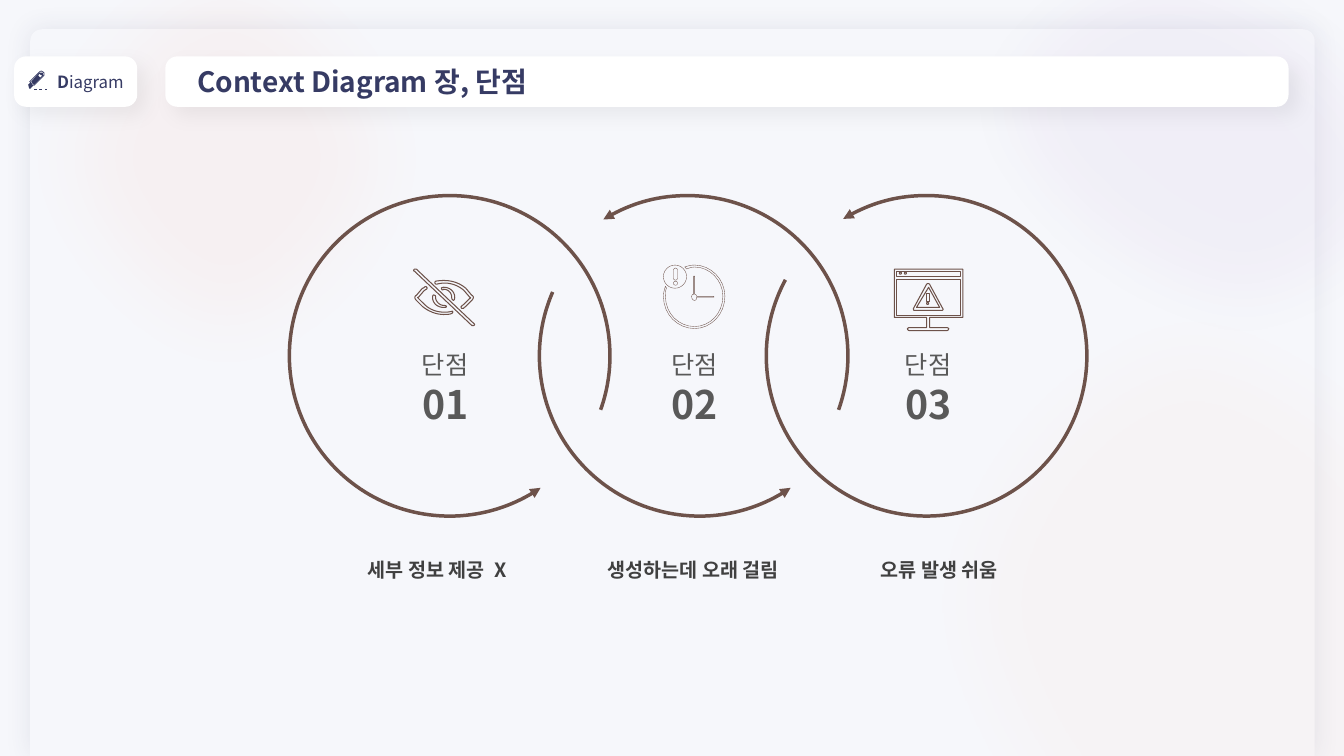
from lxml.etree import SubElement
from pptx import Presentation
from pptx.dml.color import RGBColor
from pptx.enum.shapes import MSO_CONNECTOR, MSO_SHAPE as Kind
from pptx.enum.text import MSO_ANCHOR, MSO_AUTO_SIZE as Auto, PP_ALIGN as Align
from pptx.oxml.ns import qn
from pptx.util import Inches, Pt

FONT = "Noto Sans CJK KR"
COLORS = {"page": "F6F7FB", "white": "FFFFFF", "navy": "363B64", "brown": "6D524A",
          "grey": "595959", "dark": "404040", "black": "000000",
          "peach": "FD9374", "violet": "7030A0", "orange": "FC9974"}

TITLE = "Context Diagram 장, 단점"
BADGE = (("D", True), ("iagram", False))
# number, left of number, caption, left of caption
POINTS = [("01", 4.06, "세부 정보 제공  X", 3.12),
          ("02", 6.53, "생성하는데 오래 걸림", 5.66),
          ("03", 8.85, "오류 발생 쉬움", 8.1)]
# left, start and end of each arc
ARCS = [(5.23, 142.97, 11.8), (2.87, 33.26, 11.8),
        (5.35, 33.26, 122.09), (7.6, 143.2, 124.98)]
# box, turn, colour, opacity in percent
GLOWS = [((0, -0.9, 4.5, 4.91), 0, "peach", 7),
         ((9.7, -1.43, 4.5, 5.63), 291.5, "violet", 4),
         ((9.01, 2.69, 6.26, 7.27), 339.8, "orange", 4)]
DASHES = [(0.34, 0.37), (0.39, 0.42), (0.45, 0.47)]

# Outlines in hundredths of an inch: "x,y" is a corner, "x,y:x,y:x,y" a curve,
# and "|" starts a new contour.
PENCIL = [
    "29,88 31,88 30,88 33,85 34,85 43,76 44,75 44,72 43,71 41,70 39,71 29,81 30,82 28,84"
    " | 39,72 40,71 42,71 43,72 44,73 43,75 33,85 31,82 30,81",
    "33,84 34,84 40,78 42,76 43,75 43,72 41,72 40,72 39,72 37,74 31,81"
    " | 39,73 40,74 42,75 40,77 38,75"]
EYE = [
    "433,282 443,279:453,282:460,288 466,295 467,295:467,296:466,296 460,302"
    " 459,303:458,303:458,304 457,304:457,305:458,306 458,306:459,306:460,306"
    " 460,305:461,305:462,304 468,298 470,296:470,294:468,293 462,286"
    " 454,279:443,277:432,279 431,280:431,282:433,282",
    "421,288 422,288:422,287:423,287 424,286:424,285:423,285 423,284:422,284:421,285"
    " 421,285:420,286:419,286 413,293 411,294:411,296:413,298 419,304"
    " 425,309:433,312:440,312 443,312:446,312:448,311 450,310:449,308:448,309"
    " 438,311:428,309:421,302 415,296 414,295:414,295:415,295",
    "450,298 451,297:451,296:451,295 451,289:446,285:440,285 439,285:437,286:438,286"
    " 438,288:439,288:440,287 445,287:448,291:448,295 448,297:449,298:450,298",
    "431,293 430,292:429,293:429,295 429,301:434,305:440,305 441,305:442,305:442,305"
    " 444,304:442,303:440,303 436,303:432,299:432,295 432,294:432,293:431,293",
    "413,267 412,267:411,267:411,267 410,268:410,269:411,269 468,323"
    " 469,323:470,323:470,323 471,322:471,322:470,321"]
CLOCK = [
    "689,263 685,263:682,264:679,265 680,265:680,266:681,267 683,266:686,265:689,265"
    " 704,265:717,278:717,294 717,311:704,324:689,324 673,324:660,311:660,294"
    " 660,291:660,288:661,286 661,285:660,285:660,284 659,287:658,291:658,294"
    " 658,312:672,326:689,326 705,326:719,312:719,294 719,277:705,263:689,263",
    "688,274 688,292 687,292:686,293:686,294 686,296:687,298:689,298"
    " 690,298:691,297:691,295 708,295 708,294 691,294 691,293:690,292:689,292 689,274",
    "670,266 671,266:672,267:672,268 672,276 672,277:671,278:670,278"
    " 669,278:668,277:668,276 668,268 668,267:669,266:670,266"]
SCREEN = [
    "954,267 888,267 887,267:887,267:887,268 887,314 887,315:887,315:888,315 919,315"
    " 919,325 902,325 901,325:900,326:900,326 900,327:901,328:902,328 939,328"
    " 940,328:941,327:941,326 941,326:940,325:939,325 922,325 922,315 954,315"
    " 955,315:955,315:955,314 955,268 955,267:955,267:954,267"
    " | 953,269 953,274 889,274 889,269 | 889,313 889,277 953,277 953,313",
    "922,282 921,281:920,281:919,282 906,306 906,307:906,308:907,308 934,308"
    " 935,308:936,307:935,306 | 909,305 921,285 932,305",
    "919,291 922,291 922,299 919,299"]
# outlines, line width, dots as left, top, size
ICONS = [(EYE, 0.75, []),
         (CLOCK, 0.25, [(6.58, 2.63, 0.23), (6.68, 2.79, 0.04)]),
         (SCREEN, 0.75, [(8.92, 2.7, 0.02), (8.97, 2.7, 0.02), (9.19, 3, 0.02)])]


def rgb(name):
    """Return the named colour."""
    return RGBColor.from_string(COLORS[name])


def style(shape, fill=None, line=None, width=1):
    """Set fill and line, and clear the shadow."""
    if fill:
        shape.fill.solid()
        shape.fill.fore_color.rgb = rgb(fill)
    else:
        shape.fill.background()
    if line:
        shape.line.color.rgb = rgb(line)
        shape.line.width = Pt(width)
    else:
        shape.line.fill.background()
    shape.shadow.inherit = False
    return shape


def add(kind, box, adj=(), **look):
    """Add a styled preset shape."""
    shape = slide.shapes.add_shape(kind, *map(Inches, box))
    for i, value in enumerate(adj):
        shape.adjustments[i] = value
    return style(shape, **look)


def fade(color, percent):
    """Make a colour element partly clear."""
    SubElement(color, qn("a:alpha"), val=str(percent * 1000))


def cast(shape, name, percent, blur, dist=0, turn=0):
    """Give a shape an outer shadow."""
    effects = shape._element.spPr.find(qn("a:effectLst"))
    shadow = SubElement(effects, qn("a:outerShdw"), blurRad=str(Pt(blur)),
                        dist=str(Pt(dist)), dir=str(turn * 60000), rotWithShape="0")
    fade(SubElement(shadow, qn("a:srgbClr"), val=COLORS[name]), percent)


def trace(part):
    """Turn one contour into points, with curves cut in short steps."""
    points = []
    for token in part.split():
        knots = [tuple(float(n) / 100 for n in k.split(",")) for k in token.split(":")]
        if len(knots) == 1:
            points += knots
            continue
        curve = [points[-1]] + knots
        for t in (step / 8 for step in range(1, 9)):
            mix = ((1 - t) ** 3, 3 * t * (1 - t) ** 2, 3 * t * t * (1 - t), t ** 3)
            points.append(tuple(sum(m * k[i] for m, k in zip(mix, curve)) for i in (0, 1)))
    return [(Inches(x), Inches(y)) for x, y in points]


def draw(outline, **look):
    """Draw a freeform from its contours."""
    first, *rest = map(trace, outline.split("|"))
    pen = slide.shapes.build_freeform(*first[0])
    pen.add_line_segments(first[1:])
    for part in rest:
        pen.move_to(*part[0])
        pen.add_line_segments(part[1:])
    style(pen.convert_to_shape(), **look)


def write(para, runs, size, color, bold=None, align=Align.CENTER):
    """Fill a paragraph with runs and set its font."""
    for text, heavy in runs:
        run = para.add_run()
        run.text = text
        if heavy is not None:
            run.font.bold = heavy
    para.alignment = align
    font = para.font
    font.name, font.size, font.bold = FONT, Pt(size), bold
    font.color.rgb = rgb(color)
    SubElement(font._element, qn("a:ea"), typeface=FONT)


def label(box, wrap):
    """Add a text box and return its frame."""
    frame = slide.shapes.add_textbox(*map(Inches, box)).text_frame
    frame.word_wrap, frame.auto_size = wrap, Auto.SHAPE_TO_FIT_TEXT
    return frame


deck = Presentation()
deck.slide_width, deck.slide_height = Inches(13.33), Inches(7.5)
slide = deck.slides.add_slide(deck.slide_layouts[6])
slide.background.fill.solid()
slide.background.fill.fore_color.rgb = rgb("page")

panel = add(Kind.ROUND_2_SAME_RECTANGLE, (0.3, 0.29, 12.74, 7.21), (0.016, 0), fill="page")
cast(panel, "navy", 10, 18)
for box, turn, color, percent in GLOWS:
    glow = add(Kind.OVAL, box, fill=color)
    glow.rotation = turn
    props = glow._element.spPr
    fade(props.find(".//" + qn("a:srgbClr")), percent)
    SubElement(props.find(qn("a:effectLst")), qn("a:softEdge"), rad=str(Pt(50)))

for left, width, runs, size, bold, align, inset in (
        (0.14, 1.22, BADGE, 12, None, Align.RIGHT, 0.1),
        (1.64, 11.14, [(TITLE, None)], 20, True, Align.LEFT, 0.28)):
    bar = add(Kind.ROUNDED_RECTANGLE, (left, 0.56, width, 0.5), (0.237,), fill="white")
    cast(bar, "black", 5, 15, 8, 45)
    frame = bar.text_frame
    frame.vertical_anchor, frame.margin_left = MSO_ANCHOR.MIDDLE, Inches(inset)
    write(frame.paragraphs[0], runs, size, "navy", bold, align)

for start, end in DASHES:
    dash = slide.shapes.add_connector(MSO_CONNECTOR.STRAIGHT, Inches(start), Inches(0.88),
                                      Inches(end), Inches(0.88))
    dash.line.color.rgb, dash.line.width = rgb("navy"), Pt(0.25)
    SubElement(dash._element.spPr, qn("a:effectLst"))
for outline in PENCIL:
    draw(outline, fill="navy")

for left, start, end in ARCS:
    arc = add(Kind.ARC, (left, 1.94, 3.18, 3.18), (start, end), line="brown", width=2.5)
    SubElement(arc._element.spPr.find(qn("a:ln")), qn("a:headEnd"), type="triangle")

for number, left, caption, start in POINTS:
    frame = label((left, 3.42, 0.71, 0.88), False)
    write(frame.paragraphs[0], [("단점", None)], 18, "grey")
    write(frame.add_paragraph(), [(number, None)], 28, "grey", True)
    para = label((start, 5.37, 2.43, 0.41), True).paragraphs[0]
    write(para, [(caption, None)], 14, "dark", True)
    para.line_spacing = 1.5

for outlines, width, dots in ICONS:
    for outline in outlines:
        draw(outline, line="brown", width=width)
    for left, top, size in dots:
        add(Kind.OVAL, (left, top, size, size), line="brown", width=width)

deck.save("out.pptx")
